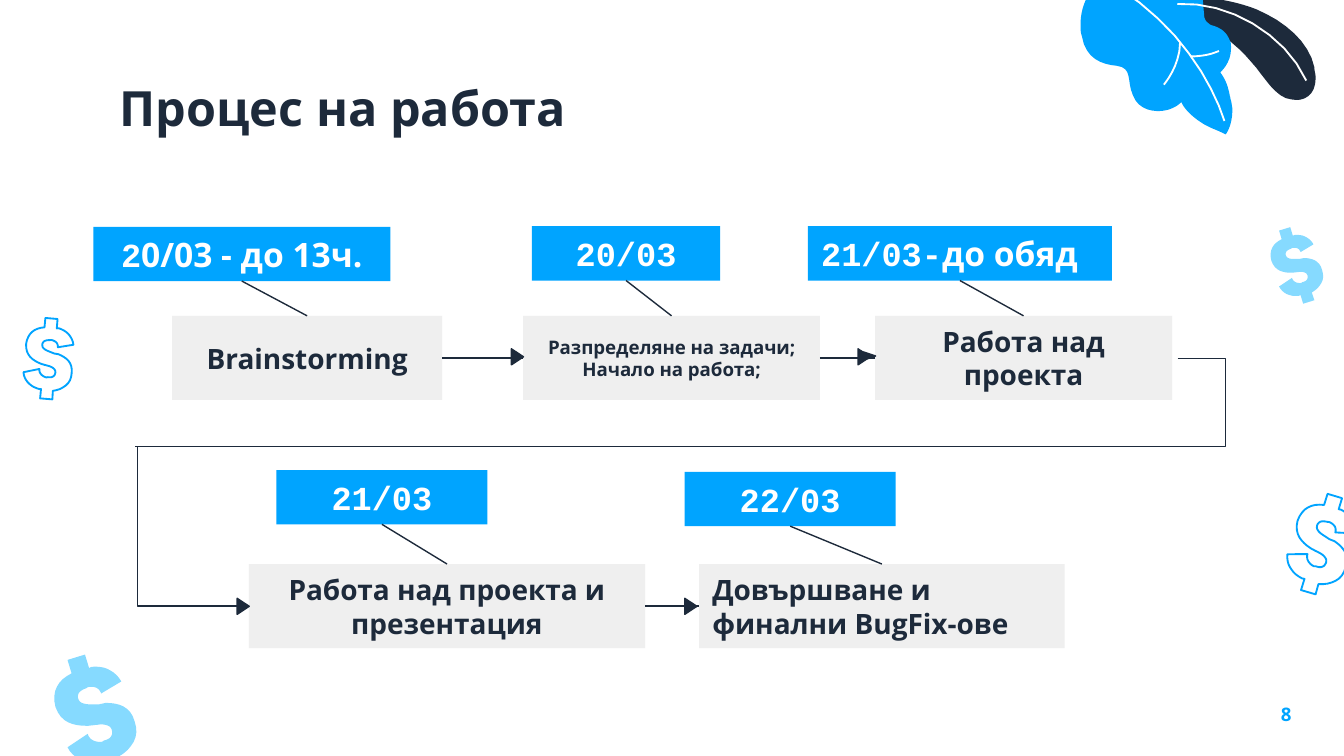
"""Build a work-process timeline slide with dated steps and money decorations."""
from lxml import etree
from pptx import Presentation
from pptx.dml.color import RGBColor
from pptx.enum.shapes import MSO_CONNECTOR, MSO_SHAPE
from pptx.enum.text import MSO_ANCHOR, MSO_AUTO_SIZE, PP_ALIGN
from pptx.oxml.ns import qn
from pptx.util import Pt

STRAIGHT, ELBOW = MSO_CONNECTOR.STRAIGHT, MSO_CONNECTOR.ELBOW
RECTANGLE, TRIANGLE = MSO_SHAPE.RECTANGLE, MSO_SHAPE.ISOSCELES_TRIANGLE
LEFT, CENTER = PP_ALIGN.LEFT, PP_ALIGN.CENTER
MIDDLE = MSO_ANCHOR.MIDDLE
NO_AUTOFIT = MSO_AUTO_SIZE.NONE
BLUE, SKY, NAVY, GREY, WHITE = "00A4FF", "86DAFF", "1D2A3B", "EFEFEF", "FFFFFF"
SANS, MONO = "Open Sans", "Courier New"
TOP, LEFT_SIDE, BOTTOM, RIGHT_SIDE = range(4)

DOLLAR = (
    "63 487/50 491/53 501/43 506 38 514 41 526/45 538 55 540 64 540/"
    "68 540 72 539 75 539/79 539 82 540 83 543/84 547 82 550 77 551/"
    "76 552 75 552 74 552/70 552 66 550 65 546/50 556/54 564 62 567 69 567/"
    "71 567 73 567 75 566/78 576/91 572/88 563/98 557 104 548 100 537/"
    "97 525 87 523 79 523/77 523 75 524 73 524/71 524 69 524 67 524/"
    "62 524 59 523 58 520/57 517 58 514 64 512/65 511 67 511 68 511/"
    "72 511 74 513 75 516/90 507/86 500 79 496 71 496/69 496 68 496 66 497")
DARK_LEAF = (
    "979 58/979 71 970 76 961 74/949 73 941 57 931 46/922 35 899 15 877 10/"
    "876 -1/894 -2/908 -1 922 2 935 7/956 16 974 31 978 50/978 53 979 55 979 58")
BLUE_LEAF = (
    "917 82/917 94 912 100 912 100/906 97 900 95 895 92/882 84 879 76 879 76/"
    "876 79 872 81 868 82/859 84 847 82 843 71/838 59 843 51 831 49/"
    "820 48 808 44 805 27/804 24 804 21 804 18/804 6 809 -2 809 -2/"
    "809 -2 869 -24 885 -15/888 -13 890 -11 892 -8/896 -2 895 4 896 11/"
    "896 14 897 16 900 18/901 19 903 19 905 20/910 22 913 25 915 30/"
    "916 32 916 34 916 36/916 47 908 54 908 54/912 59 914 65 915 71/"
    "916 75 917 79 917 82")
VEINS = [
    "972 60/956 25 914 1 876 3", "911 90/902 61 876 18 832 -9",
    "866 63/866 63 878 49 878 32", "907 38/900 41 893 42 886 42"]


def color(value):
    return RGBColor.from_string(value)


def draw_outline(shapes, outline, fill=None, line=None, close=True):
    """Draw straight (2 numbers) and cubic (6 numbers) segments given in 0.72 pt units."""
    segments = [[10 * int(n) for n in part.split()] for part in outline.split("/")]
    start = current = segments[0]
    points = []
    for segment in segments[1:]:
        if len(segment) == 2:
            points.append(segment)
        else:
            controls = list(zip(current + segment[:4], (current + segment)[1:]))[::2]
            controls.append(tuple(segment[4:]))
            for step in range(1, 9):
                t = step / 8
                weights = ((1 - t) ** 3, 3 * t * (1 - t) ** 2, 3 * t * t * (1 - t), t ** 3)
                points.append([sum(w * c[axis] for w, c in zip(weights, controls))
                               for axis in (0, 1)])
        current = segment[-2:]
    builder = shapes.build_freeform(*start, scale=Pt(0.72) / 10)
    builder.add_line_segments(points, close=close)
    shape = builder.convert_to_shape()
    shape.shadow.inherit = False
    if fill:
        shape.fill.solid()
        shape.fill.fore_color.rgb = color(fill)
    else:
        shape.fill.background()
    if line:
        shape.line.color.rgb = color(line)
        shape.line.width = Pt(1)
    else:
        shape.line.fill.background()
    return shape


presentation = Presentation()
presentation.slide_width, presentation.slide_height = Pt(720), Pt(405)
slide = presentation.slides.add_slide(presentation.slide_layouts[5])
shapes = slide.shapes

draw_outline(shapes, DARK_LEAF, fill=NAVY)
draw_outline(shapes, BLUE_LEAF, fill=BLUE)
for vein in VEINS:
    draw_outline(shapes, vein, line=WHITE, close=False)

for center_x, center_y, scale, rotation, fill, line in [
        (26.3, 192.2, 0.67, 22, None, BLUE), (694.8, 142.2, 0.64, 0, SKY, None),
        (708.1, 291.6, 0.83, 33.6, None, BLUE), (51.1, 382.7, 1, 0, SKY, None)]:
    dollar = draw_outline(shapes, DOLLAR, fill, line)
    dollar.width, dollar.height = int(dollar.width * scale), int(dollar.height * scale)
    dollar.left = Pt(center_x) - dollar.width // 2
    dollar.top = Pt(center_y) - dollar.height // 2
    dollar.rotation = rotation

title = shapes.title
title.left, title.top, title.width, title.height = Pt(56.9), Pt(34.6), Pt(607), Pt(45.4)
number = shapes.add_textbox(Pt(667.4), Pt(367.2), Pt(43.2), Pt(31))
for shape, text, size, ink, alignment in [
        (title, "Процес на работа", 26, NAVY, LEFT), (number, "8", 10, BLUE, CENTER)]:
    frame = shape.text_frame
    frame.text = text
    frame.word_wrap, frame.auto_size, frame.vertical_anchor = True, NO_AUTOFIT, MIDDLE
    paragraph = frame.paragraphs[0]
    paragraph.alignment = alignment
    font = paragraph.runs[0].font
    font.name, font.size, font.bold, font.color.rgb = SANS, Pt(size), True, color(ink)

steps = [
    ((50, 121.5, 159.1), [("2", MONO), ("0/03 - до 13ч.", SANS)], CENTER,
     (92.2, 169.2, 144.7), "Brainstorming", 15, CENTER),
    ((285, 121.2, 100.8), [("20/03", MONO)], CENTER,
     (280.2, 169.2, 159.1), "Разпределяне на задачи; Начало на работа;", 10, CENTER),
    ((432.8, 121.2, 162.9), [("21/03-", MONO), ("до обяд", SANS)], LEFT,
     (468.8, 169.2, 159.1), "Работа над проекта", 15, CENTER),
    ((148.1, 251.8, 113), [("21/03", MONO)], CENTER,
     (133.4, 302.2, 212.2), "Работа над проекта и презентация", 15, CENTER),
    ((366.8, 252.8, 113), [("22/03", MONO)], CENTER,
     (374.5, 302.2, 195.9), "Довършване и финални BugFix-ове", 15, LEFT)]
connectors, boxes = [], []
for date_place, date_runs, date_alignment, box_place, task, size, task_alignment in steps:
    pair = []
    for place, height, fill, ink, runs, text_size, alignment in [
            (date_place, 29.1, BLUE, WHITE, date_runs, 18, date_alignment),
            (box_place, 45.1, GREY, NAVY, [(task, SANS)], size, task_alignment)]:
        left, top, width = place
        shape = shapes.add_shape(RECTANGLE, Pt(left), Pt(top), Pt(width), Pt(height))
        shape.shadow.inherit = False
        shape.fill.solid()
        shape.fill.fore_color.rgb = color(fill)
        shape.line.fill.background()
        shape.text_frame.word_wrap = True
        shape.text_frame.vertical_anchor = MIDDLE
        paragraph = shape.text_frame.paragraphs[0]
        paragraph.alignment = alignment
        for text, font_name in runs:
            run = paragraph.add_run()
            run.text = text
            font = run.font
            font.name, font.size, font.bold = font_name, Pt(text_size), True
            font.color.rgb = color(ink)
        pair.append(shape)
    date, box = pair
    boxes.append(box)
    leader = shapes.add_connector(STRAIGHT, 0, 0, 0, 0)
    leader.begin_connect(date, BOTTOM)
    leader.end_connect(box, TOP)
    connectors.append(leader)

for first, second in [(0, 1), (1, 2), (3, 4)]:
    link = shapes.add_connector(STRAIGHT, 0, 0, 0, 0)
    link.begin_connect(boxes[first], RIGHT_SIDE)
    link.end_connect(boxes[second], LEFT_SIDE)
    connectors.append(link)

row_return = shapes.add_connector(ELBOW, Pt(631), Pt(192), Pt(72.4), Pt(239.2))
guides = row_return._element.spPr.find(qn("a:prstGeom")).get_or_add_avLst()
etree.SubElement(guides, qn("a:gd"), name="adj1", fmla="val -4600")
row_entry = shapes.add_connector(ELBOW, Pt(146.2), Pt(252), Pt(60.8), Pt(311.8))
row_entry._element.spPr.find(qn("a:xfrm")).set("rot", "16200000")
row_entry._element.spPr.find(qn("a:prstGeom")).set("prst", "bentConnector2")
connectors += [row_return, row_entry]
for connector in connectors:
    connector.line.color.rgb = color(NAVY)
    connector.line.width = Pt(0.75)
    etree.SubElement(connector._element.spPr, qn("a:effectLst"))

for left, top, width in [(463.7, 187.5, 4.3), (126, 321.6, 8.6), (365.8, 321.6, 8.6),
                         (272.9, 187.9, 8.6), (458.6, 187.9, 8.6)]:
    arrow = shapes.add_shape(TRIANGLE, Pt(left), Pt(top), Pt(width), Pt(6.5))
    arrow.rotation = 90
    arrow.shadow.inherit = False
    arrow.fill.solid()
    arrow.fill.fore_color.rgb = color(NAVY)
    arrow.line.color.rgb = color(NAVY)
    arrow.line.width = Pt(0.75)

presentation.save("out.pptx")
